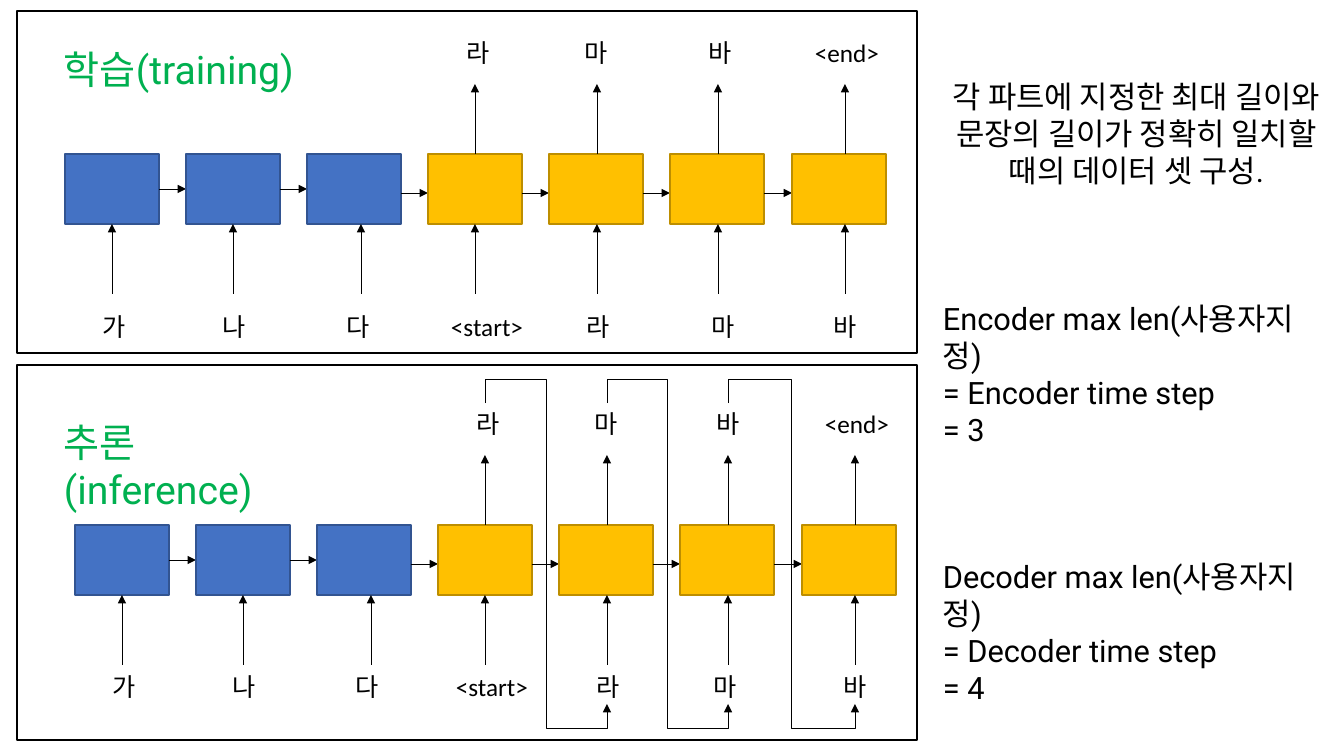
from dataclasses import dataclass

from lxml import etree
from pptx import Presentation
from pptx import util as u
from pptx.dml import color
from pptx.enum import shapes, text
from pptx.oxml import ns

SCALE = 914400 / 100.8


@dataclass(frozen=True)
class Theme:
    """Colours, fonts and type sizes of the slide."""
    ink: str = "000000"
    green: str = "00B050"
    enc: tuple = ("4472C4", "325491")
    dec: tuple = ("FFC000", "BD8E00")
    sans: str = "Roboto"
    body: str = "Calibri"
    head: int = 28
    note: int = 22
    token: int = 18
    gap: int = 79
    thin: float = 0.5
    edge: float = 1


T = Theme()
CELL_W, CELL_H, SPAN, STEM = 94, 70, 727, 70
STEMS = (47, 168, 296, 410, 532, 653, 780)
FIRST = 3  # index of the first decoder cell
RISE = 122  # from the cell tops up to the output tokens


def px(n):
    """Turn pixels into EMU."""
    return u.Emu(round(n * SCALE))


def rgb(code):
    """Make a colour from its hex code."""
    return color.RGBColor.from_string(code)


def add_rect(slide, box, edge, fill=None):
    """Draw a rectangle, hollow when no fill is given."""
    rect = slide.shapes.add_shape(shapes.MSO_SHAPE.RECTANGLE, *map(px, box))
    rect.shadow.inherit = False
    if fill:
        rect.fill.solid()
        rect.fill.fore_color.rgb = rgb(fill)
    else:
        rect.fill.background()
    rect.line.color.rgb = rgb(edge)
    rect.line.width = u.Pt(T.edge)


def add_text(slide, box, words, size, font, ink=T.ink):
    """Place wrapped text and return its paragraphs."""
    frame = slide.shapes.add_textbox(*map(px, box)).text_frame
    frame.text = words
    frame.word_wrap = True
    frame.auto_size = text.MSO_AUTO_SIZE.SHAPE_TO_FIT_TEXT
    for para in frame.paragraphs:
        for run in para.runs:
            run.font.size = u.Pt(size)
            run.font.name = font
            run.font.color.rgb = rgb(ink)
    return frame.paragraphs


def add_arrow(slide, start, end, kind=shapes.MSO_CONNECTOR.STRAIGHT):
    """Draw a thin connector with a triangle at its end."""
    arrow = slide.shapes.add_connector(kind, *map(px, start + end))
    arrow.line.color.rgb = rgb(T.ink)
    arrow.line.width = u.Pt(T.thin)
    props = arrow._element.spPr
    etree.SubElement(props.find(ns.qn("a:ln")), ns.qn("a:tailEnd"), type="triangle")
    etree.SubElement(props, ns.qn("a:effectLst"))
    return arrow


def add_loop(slide, start, end):
    """Lead an output over the top and back to the next input."""
    (x1, y1), (x2, y2) = start, end
    mid_x, mid_y = (x1 + x2) / 2, (y1 + y2) / 2
    half_w, half_h = (y2 - y1) / 2, (x2 - x1) / 2
    loop = add_arrow(slide, (mid_x - half_w, mid_y - half_h),
                     (mid_x + half_w, mid_y + half_h), shapes.MSO_CONNECTOR.ELBOW)
    props = loop._element.spPr
    frame = props.find(ns.qn("a:xfrm"))
    frame.set("rot", "16200000")
    frame.set("flipH", "1")
    geom = props.find(ns.qn("a:prstGeom"))
    geom.set("prst", "bentConnector5")
    guides = geom.find(ns.qn("a:avLst"))
    if guides is None:
        guides = etree.SubElement(geom, ns.qn("a:avLst"))
    for i, value in enumerate((-8000, 50000, 108000), 1):
        etree.SubElement(guides, ns.qn("a:gd"), name=f"adj{i}", fmla=f"val {value}")


def add_cells(slide, left, top):
    """Draw the row of encoder and decoder cells with their arrows."""
    count = len(STEMS)
    lefts = [left + SPAN * i // (count - 1) for i in range(count)]
    for i, x in enumerate(lefts):
        fill, edge = T.enc if i < FIRST else T.dec
        add_rect(slide, (x, top, CELL_W, CELL_H), edge, fill)
        if i < count - 1:
            y = top + (35 if i < FIRST - 1 else 39)
            add_arrow(slide, (x + CELL_W, y), (lefts[i + 1], y))
    base = top + CELL_H
    for i, stem in enumerate(STEMS):
        x = left + stem
        add_arrow(slide, (x, base + STEM), (x, base))
        if i >= FIRST:
            add_arrow(slide, (x, top), (x, top - STEM))


def add_panel(slide, box, title, title_y, row, drop, inputs, outputs, loops=False):
    """Draw one framed phase: title, cells, tokens and feedback loops."""
    left, top = box[:2]
    add_rect(slide, box, T.ink)
    row_x, row_y = left + row[0], top + row[1]
    add_cells(slide, row_x, row_y)
    for tokens, shift in ((inputs, drop), (outputs, -RISE)):
        for words, x, width in tokens:
            add_text(slide, (row_x + x, row_y + shift, width, 39), words, T.token, T.body)
    if loops:
        for a, b in zip(STEMS[FIRST:], STEMS[FIRST + 1:]):
            add_loop(slide, (row_x + a, row_y - RISE), (row_x + b, row_y + 179))
    add_text(slide, (left + 37, top + title_y, 254, 57), title, T.head, T.sans, T.green)


def add_notes(slide, box):
    """Write the explanation column, its blocks set apart by spacing."""
    lines = ["각 파트에 지정한 최대 길이와 문장의 길이가 정확히 일치할 때의 데이터 셋 구성."]
    for part, steps in (("Encoder", 3), ("Decoder", 4)):
        lines += [f"{part} max len(사용자지정)", f"= {part} time step", f"= {steps}"]
    paras = add_text(slide, box, "\n".join(lines), T.note, T.sans)
    paras[0].alignment = text.PP_ALIGN.CENTER
    for para in paras[1::3]:
        para.space_before = u.Pt(T.gap)


def main():
    """Build the slide and save it."""
    deck = Presentation()
    deck.slide_width, deck.slide_height = px(1344), px(756)
    slide = deck.slides.add_slide(deck.slide_layouts[6])
    add_panel(
        slide, (17, 11, 900, 342), "학습(training)", 29, (48, 143), 152,
        (("가", 28, 37), ("나", 148, 37), ("다", 272, 82), ("<start>", 376, 109),
         ("라", 512, 37), ("마", 637, 82), ("바", 759, 82)),
        (("라", 392, 37), ("마", 510, 82), ("바", 634, 82), ("<end>", 740, 113)))
    add_panel(
        slide, (17, 365, 900, 375), "추론(inference)", 48, (58, 160), 141,
        (("가", 28, 37), ("나", 148, 37), ("다", 271, 57), ("<start>", 371, 100),
         ("라", 512, 37), ("마", 629, 43), ("바", 759, 40)),
        (("라", 392, 37), ("마", 510, 46), ("바", 632, 43), ("<end>", 740, 109)),
        loops=True)
    add_notes(slide, (933, 73, 407, 570))
    deck.save("out.pptx")


main()
